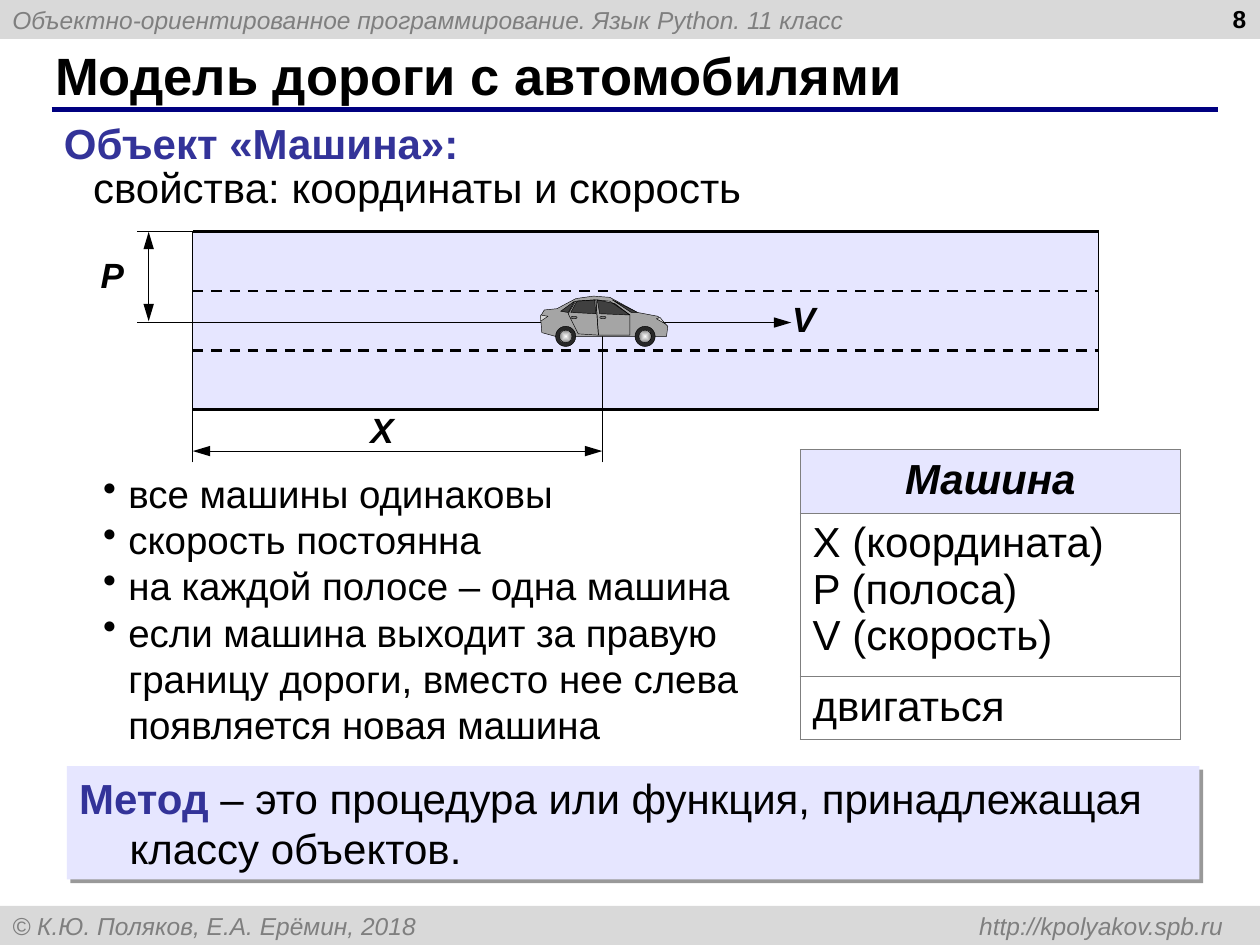
from dataclasses import dataclass, field
from typing import Any

from lxml import etree
from pptx import Presentation
from pptx.dml.color import RGBColor
from pptx.enum.dml import MSO_LINE_DASH_STYLE
from pptx.enum.shapes import MSO_CONNECTOR_TYPE, MSO_SHAPE
from pptx.enum.text import MSO_ANCHOR, PP_ALIGN
from pptx.oxml.ns import qn
from pptx.util import Pt

PX = 9144  # EMU in one px, 100 px to the inch
FONT = "Arial"
BLACK, WHITE = RGBColor.from_string("000000"), RGBColor.from_string("FFFFFF")
NAVY, INDIGO = RGBColor.from_string("000080"), RGBColor.from_string("333399")
LAVENDER, BAND = RGBColor.from_string("E6E6FF"), RGBColor.from_string("D9D9D9")
MUTED, METAL = RGBColor.from_string("7F7F7F"), RGBColor.from_string("808080")
TYRE, GLASS = RGBColor.from_string("272727"), RGBColor.from_string("404040")
BODY, LAMP = RGBColor.from_string("A5A5A5"), RGBColor.from_string("D8D8D8")
RECT, OVAL = MSO_SHAPE.RECTANGLE, MSO_SHAPE.OVAL
STRAIGHT, DASH = MSO_CONNECTOR_TYPE.STRAIGHT, MSO_LINE_DASH_STYLE.DASH
MIDDLE, TOP = MSO_ANCHOR.MIDDLE, MSO_ANCHOR.TOP
LEFT, CENTER, RIGHT = PP_ALIGN.LEFT, PP_ALIGN.CENTER, PP_ALIGN.RIGHT
THIN = 0.25

BAND_STYLE = {"size": Pt(14), "italic": True, "color": MUTED}
NUMBER_STYLE = {"size": Pt(14), "bold": True}
TITLE_STYLE = {"size": Pt(30), "bold": True}
TEXT_STYLE = {"size": Pt(24)}
TERM_STYLE = TEXT_STYLE | {"bold": True, "color": INDIGO}
CLASS_STYLE = TEXT_STYLE | {"bold": True, "italic": True}
LIST_STYLE = {"size": Pt(22)}
SYMBOL_STYLE = CLASS_STYLE | {"size": Pt(20)}


@dataclass
class Label:
    box: tuple[int, int, int, int]
    lines: list[str]
    style: dict[str, Any]
    align: PP_ALIGN | None = None
    anchor: MSO_ANCHOR = TOP
    wrap: bool = True
    bullet: bool = False


@dataclass
class Line:
    start: tuple[int, int]
    end: tuple[int, int]
    width: float = 0.75
    color: RGBColor = BLACK
    dashed: bool = False
    arrows: list[str] = field(default_factory=list)


@dataclass
class Panel:
    points: list[tuple[int, int]]
    fill: RGBColor | None = GLASS


def add_span(para: Any, text: str, style: dict[str, Any]) -> None:
    span = para.add_run()
    span.text = text
    span.font.color.rgb = BLACK
    for name, value in ({"name": FONT} | style).items():
        if name == "color":
            span.font.color.rgb = value
        else:
            setattr(span.font, name, value)


def set_indent(para: Any, indent: int) -> Any:
    properties = para._p.get_or_add_pPr()
    properties.set("marL", str(indent * PX))
    properties.set("indent", str(-indent * PX))
    return properties


def fill_frame(frame: Any, lines: list[str], style: dict[str, Any],
               align: PP_ALIGN | None = None, bullet: bool = False) -> None:
    for index, text in enumerate(lines):
        para = frame.add_paragraph() if index else frame.paragraphs[0]
        if bullet:
            etree.SubElement(set_indent(para, 20), qn("a:buChar"), char="•")
        para.alignment = align
        add_span(para, text, style)


def add_label(shapes: Any, label: Label) -> None:
    frame = shapes.add_textbox(*(side * PX for side in label.box)).text_frame
    frame.word_wrap = label.wrap
    frame.vertical_anchor = label.anchor
    fill_frame(frame, label.lines, label.style, label.align, label.bullet)


def paint(shape: Any, fill: RGBColor | None, line_width: float = 0) -> Any:
    shape.shadow.inherit = False
    if fill is None:
        shape.fill.background()
    else:
        shape.fill.solid()
        shape.fill.fore_color.rgb = fill
    if line_width:
        shape.line.color.rgb = BLACK
        shape.line.width = Pt(line_width)
    else:
        shape.line.fill.background()
    return shape


def add_block(shapes: Any, kind: MSO_SHAPE, box: tuple[int, int, int, int],
              fill: RGBColor, line_width: float = 0) -> Any:
    return paint(shapes.add_shape(kind, *(side * PX for side in box)), fill, line_width)


def add_line(shapes: Any, line: Line) -> None:
    connector = shapes.add_connector(STRAIGHT, *(c * PX for c in line.start + line.end))
    connector.line.color.rgb = line.color
    connector.line.width = Pt(line.width)
    if line.dashed:
        connector.line.dash_style = DASH
    for end in line.arrows:
        etree.SubElement(connector.line._get_or_add_ln(), qn(f"a:{end}"),
                         type="triangle", w="med", len="lg")
    etree.SubElement(connector._element.spPr, qn("a:effectLst"))


def add_panel(shapes: Any, panel: Panel) -> None:
    builder = shapes.build_freeform(*panel.points[0], scale=PX)
    builder.add_line_segments(panel.points[1:], close=True)
    paint(builder.convert_to_shape(), panel.fill, THIN)


def add_wheel(shapes: Any, left: int) -> None:
    add_block(shapes, OVAL, (left, 259, 16, 16), TYRE, THIN)
    hub = add_block(shapes, OVAL, (left + 3, 262, 10, 10), WHITE, THIN)
    hub.fill.gradient()
    for stop, color in zip(hub.fill.gradient_stops, (WHITE, METAL)):
        stop.color.rgb = color
    gradient = hub._element.spPr.find(qn("a:gradFill"))
    gradient.remove(gradient.find(qn("a:lin")))
    shade = etree.SubElement(gradient, qn("a:path"), path="rect")
    etree.SubElement(shade, qn("a:fillToRect"), dict.fromkeys("ltrb", "50000"))


CAR_PANELS = [
    Panel([(430, 264), (429, 251), (432, 246), (442, 245), (457, 237), (471, 235), (484, 236),
           (506, 248), (522, 251), (530, 259), (529, 267), (441, 267)], BODY),
    Panel([(486, 238), (506, 248), (501, 248)]),
    Panel([(474, 238), (476, 249), (500, 250), (488, 241)]),
    Panel([(472, 238), (473, 249), (453, 248), (458, 239)]),
    Panel([(445, 247), (456, 239), (451, 248)]),
    Panel([(457, 239), (451, 249), (459, 265), (475, 266), (473, 238)], None),
    Panel([(484, 239), (500, 250), (500, 266), (475, 266), (473, 238)], None),
    Panel([(521, 253), (524, 252), (528, 257)], LAMP),
    Panel([(429, 250), (435, 251), (429, 255)], LAMP),
]
ROAD_LEFT, ROAD_RIGHT, ROAD_TOP, LANE, LANES = 153, 872, 184, 47, 3
ROAD_LINES = [Line((ROAD_LEFT, ROAD_TOP + LANE * lane), (ROAD_RIGHT, ROAD_TOP + LANE * lane),
                   1.5, dashed=0 < lane < LANES) for lane in range(LANES + 1)]
BOTH_ENDS = ["headEnd", "tailEnd"]
MEASURES = [
    Line((ROAD_LEFT, 367), (ROAD_LEFT, 322)), Line((478, 367), (478, 265)),
    Line((ROAD_LEFT, 358), (478, 358), 0.5, arrows=BOTH_ENDS),
    Line((109, 256), (431, 256)), Line((109, ROAD_TOP), (ROAD_LEFT, ROAD_TOP)),
    Line((118, 255), (118, ROAD_TOP), 0.5, arrows=BOTH_ENDS),
    Line((527, 256), (628, 256), 1, arrows=["tailEnd"]),
]
SYMBOLS = [Label((284, 319, 62, 52), ["X"], SYMBOL_STYLE),
           Label((70, 196, 52, 52), ["P"], SYMBOL_STYLE),
           Label((607, 231, 62, 52), ["V"], SYMBOL_STYLE, CENTER)]
LABELS = [
    Label((34, 33, 916, 52), ["Модель дороги с автомобилями"], TITLE_STYLE, anchor=MIDDLE),
    Label((766, -2, 233, 52), ["8"], NUMBER_STYLE, RIGHT),
    Label((41, 88, 754, 50), ["Объект «Машина»:"], TERM_STYLE),
    Label((64, 123, 545, 50), ["свойства: координаты и скорость"], TEXT_STYLE, wrap=False),
    Label((72, 368, 568, 230), [
        "все машины одинаковы", "скорость постоянна", "на каждой полосе – одна машина",
        "если машина выходит за правую границу дороги, вместо нее слева появляется новая машина",
    ], LIST_STYLE, anchor=MIDDLE, bullet=True),
]
CLASS_ROWS = [(50, ["Машина"], CLASS_STYLE, CENTER),
              (130, ["X (координата)", "P (полоса)", "V (скорость)"], TEXT_STYLE, None),
              (50, ["двигаться"], TEXT_STYLE, None)]


def add_band(shapes: Any, top: int, text: str) -> None:
    frame = add_block(shapes, RECT, (0, top, 1000, 31), BAND).text_frame
    frame.vertical_anchor = MIDDLE
    para = frame.paragraphs[0]
    para.alignment = LEFT
    if "\t" in text:
        tabs = etree.SubElement(para._p.get_or_add_pPr(), qn("a:tabLst"))
        etree.SubElement(tabs, qn("a:tab"), pos=str(961 * PX), algn="r")
    add_span(para, text, BAND_STYLE)


def add_road_scheme(shapes: Any) -> None:
    add_block(shapes, RECT, (ROAD_LEFT, ROAD_TOP, ROAD_RIGHT - ROAD_LEFT, 140), LAVENDER, 0.75)
    for line in ROAD_LINES + MEASURES:
        add_line(shapes, line)
    for panel in CAR_PANELS:
        add_panel(shapes, panel)
    for left in (441, 504):
        add_wheel(shapes, left)
    for left in (453, 476):
        add_block(shapes, OVAL, (left, 251, 5, 2), METAL, THIN)
    for symbol in SYMBOLS:
        add_label(shapes, symbol)


def add_class_table(shapes: Any) -> None:
    table = shapes.add_table(len(CLASS_ROWS), 1, *(c * PX for c in (635, 357, 302, 230))).table
    table.horz_banding = table.first_row = False
    for index, (height, lines, style, align) in enumerate(CLASS_ROWS):
        table.rows[index].height = height * PX
        cell = table.cell(index, 0)
        fill_frame(cell.text_frame, lines, style, align)
        properties = cell._tc.get_or_add_tcPr()
        for side in "LRTB":
            border = etree.SubElement(properties, qn(f"a:ln{side}"), w=str(Pt(0.45)))
            solid = etree.SubElement(border, qn("a:solidFill"))
            etree.SubElement(solid, qn("a:srgbClr"), val=str(MUTED))
        cell.fill.solid()
        cell.fill.fore_color.rgb = WHITE if index else LAVENDER


def add_definition(shapes: Any) -> None:
    box = add_block(shapes, RECT, (53, 608, 899, 90), LAVENDER)
    effects = box._element.spPr.find(qn("a:effectLst"))
    shadow = etree.SubElement(effects, qn("a:outerShdw"), dist=str(Pt(3)), dir="2700000")
    color = etree.SubElement(shadow, qn("a:srgbClr"), val=str(BLACK))
    etree.SubElement(color, qn("a:alpha"), val="40000")
    box.text_frame.vertical_anchor = TOP
    para = box.text_frame.paragraphs[0]
    para.alignment = LEFT
    set_indent(para, 40)
    add_span(para, "Метод", TERM_STYLE)
    add_span(para, " – это процедура или функция, принадлежащая классу объектов.", TEXT_STYLE)


def main() -> None:
    deck = Presentation()
    deck.slide_width, deck.slide_height = 1000 * PX, 750 * PX
    page = deck.slides.add_slide(deck.slide_layouts[6])
    add_band(page.shapes, 0, "Объектно-ориентированное программирование. Язык Python. 11 класс")
    add_band(page.shapes, 719, "© К.Ю. Поляков, Е.А. Ерёмин, 2018 \thttp://kpolyakov.spb.ru")
    add_line(page.shapes, Line((41, 87), (967, 87), 3, NAVY))
    for label in LABELS:
        add_label(page.shapes, label)
    add_road_scheme(page.shapes.add_group_shape().shapes)
    add_class_table(page.shapes)
    add_definition(page.shapes)
    deck.save("out.pptx")


if __name__ == "__main__":
    main()
